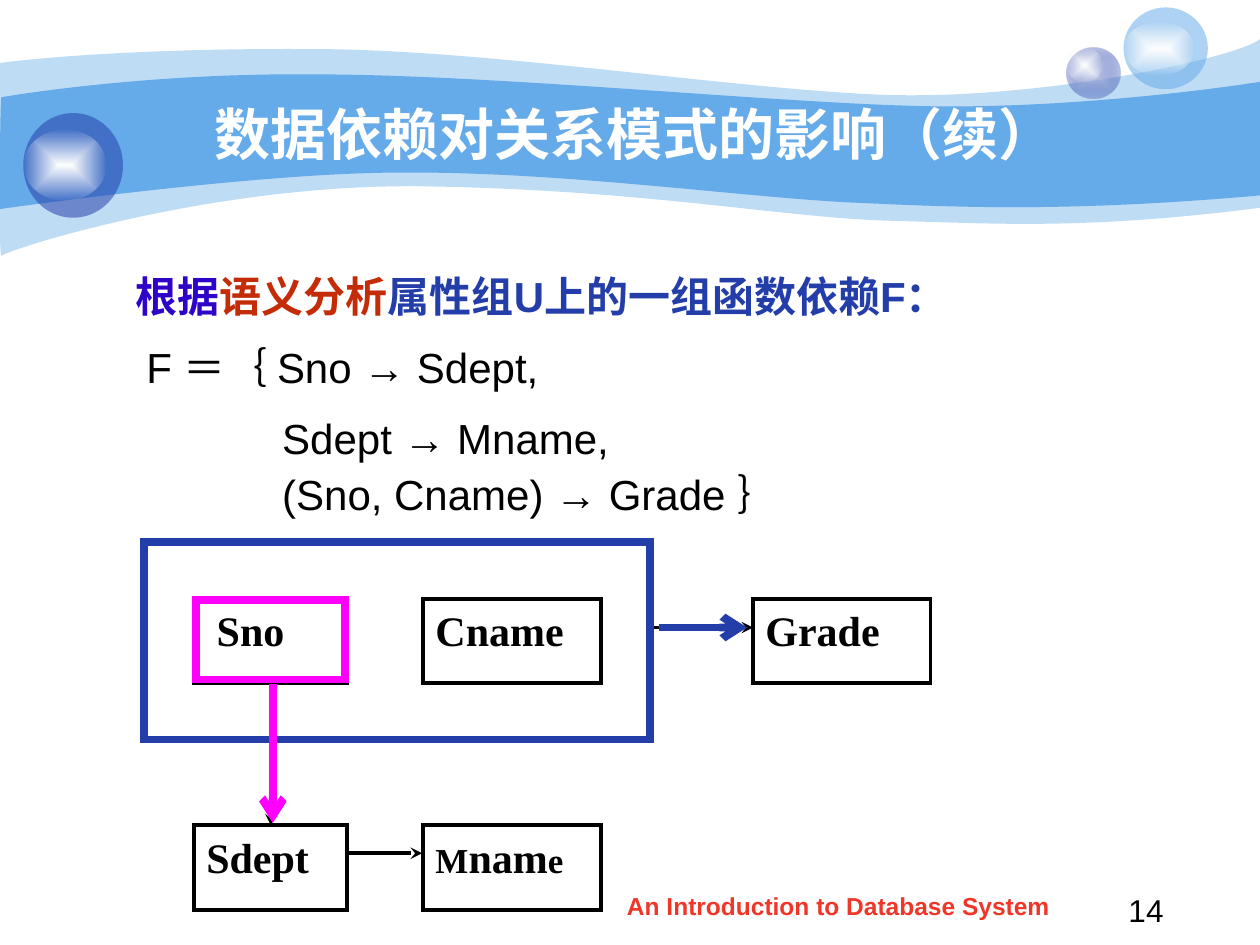
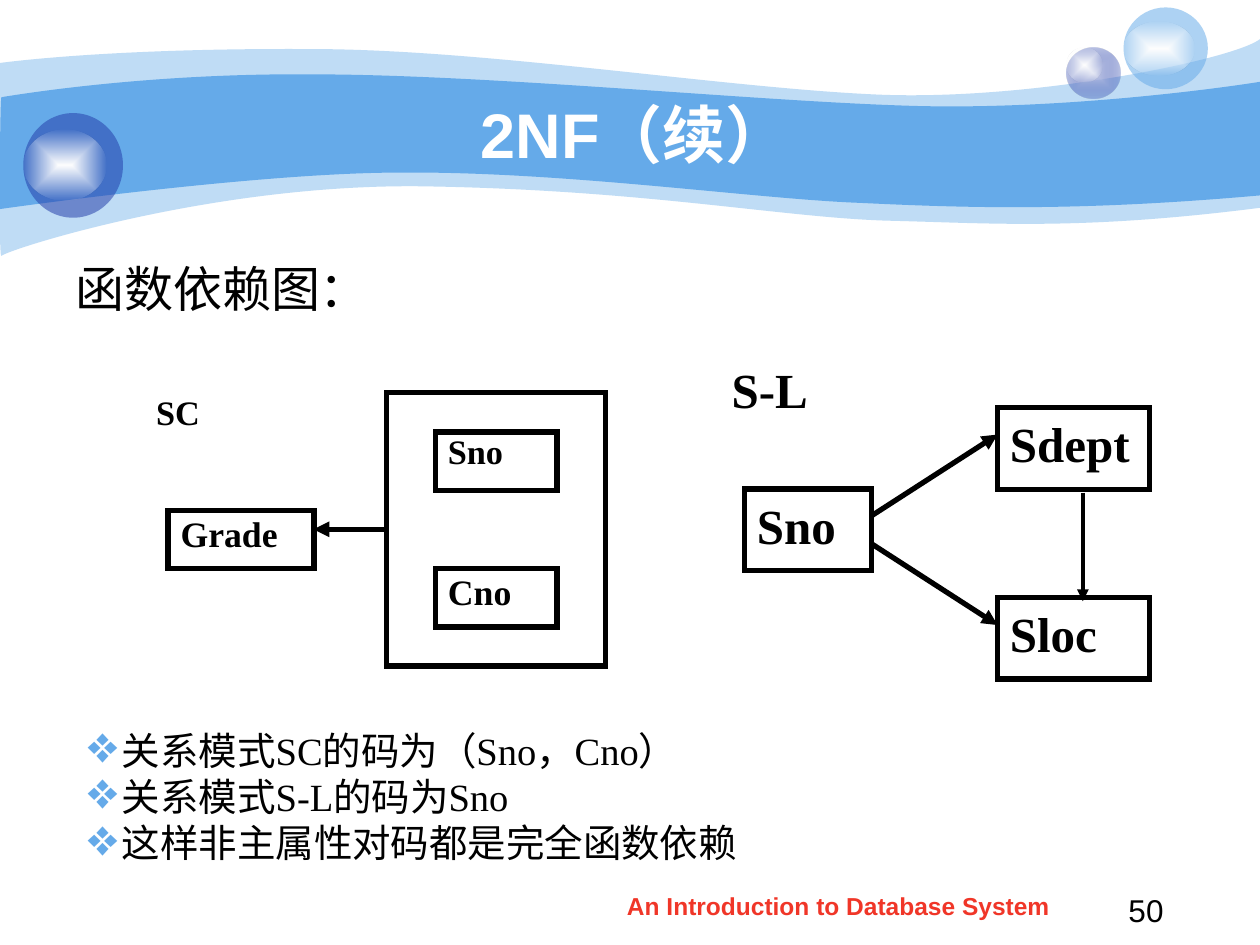
from dataclasses import dataclass
from typing import NamedTuple, Optional

import lxml.etree
import pptx
import pptx.dml.color
import pptx.enum.shapes
import pptx.enum.text
import pptx.oxml.ns
import pptx.util

Cm = pptx.util.Cm
Pt = pptx.util.Pt
qn = pptx.oxml.ns.qn
SHAPE = pptx.enum.shapes.MSO_SHAPE
ALIGN = pptx.enum.text.PP_ALIGN
ANCHOR = pptx.enum.text.MSO_ANCHOR

COLORS = {
    "black": "000000", "white": "FFFFFF", "sky": "65AAE9", "navy": "233DA9",
    "mist": "C7CEE9", "footer": "F03628", "violet": "2E04C8",
    "rust": "C42C08", "magenta": "FF00FF",
}
SANS, SERIF = "Arial", "Times New Roman"
FOOTER = "An Introduction to Database System"
BULLET_INDENT = 0.69


class Area(NamedTuple):
    """Left, top, width and height in centimetres."""
    left: float
    top: float
    width: float
    height: float

    def lengths(self) -> list:
        return [Cm(value) for value in self]


class Run(NamedTuple):
    text: str
    color: Optional[str] = None
    size: Optional[float] = None


@dataclass
class Line:
    runs: tuple
    indent: float = 0
    before: float = 0
    spacing: Optional[float] = None
    bullet: Optional[str] = None


@dataclass
class Node:
    area: Area
    lines: tuple = ()
    size: float = 24
    spacing: Optional[float] = None
    color: str = "black"
    outline: float = 2.25


@dataclass
class Link:
    start: tuple
    end: tuple
    head: str = "stealth"
    color: str = "black"
    width: float = 2.25


@dataclass
class Band:
    """Start point, then segments: one point for a line, three for a curve."""
    start: tuple
    segments: tuple
    opacity: Optional[int] = None


@dataclass
class Sphere:
    body: Area
    glint: Area
    color: str
    opacity: int
    center: Optional[str] = None


BANDS = [
    Band((0, 1.27), (
        ((0.61, 1.19), (2.72, 0.97), (6.27, 0.99)),
        ((9.8, 0.99), (14.61, 1.78), (17.75, 1.91)),
        ((20.88, 2.03), (24.89, 1.19), (25.4, 0.79)),
        ((25.4, 4.19),),
        ((21.79, 4.65), (19.99, 4.5), (17.91, 4.45)),
        ((15.8, 4.39), (13.08, 3.84), (8.71, 3.76)),
        ((4.37, 3.66), (0.1, 5.05), (0.03, 5.16)),
        ((-0.03, 5.28), (0, 1.91), (0, 1.27)),
    ), 41),
    Band((0.03, 1.96), (
        ((0.05, 1.96), (2.79, 1.47), (6.3, 1.5)),
        ((9.8, 1.5), (15.11, 2.03), (18.24, 2.13)),
        ((21.36, 2.24), (24.79, 1.75), (25.4, 1.65)),
        ((25.4, 3.94),),
        ((21.67, 4.27), (19.43, 4.19), (17.32, 4.09)),
        ((15.21, 4.01), (11.35, 3.45), (8.05, 3.48)),
        ((5.16, 3.48), (-0.05, 4.22), (-0.03, 4.22)),
        ((0, 4.22), (0, 1.96), (0.03, 1.96)),
    )),
]
SPHERES = [
    Sphere(Area(21.51, 0.97, 1.07, 1.02), Area(21.51, 0.97, 0.71, 0.69), "navy", 31, "mist"),
    Sphere(Area(22.65, 0.15, 1.7, 1.65), Area(22.65, 0.43, 1.42, 1.09), "sky", 53),
    Sphere(Area(0.47, 2.28, 2.01, 2.11), Area(0.47, 2.62, 1.68, 1.42), "navy", 53),
]


def rgb(name: str) -> pptx.dml.color.RGBColor:
    return pptx.dml.color.RGBColor.from_string(COLORS[name])


def add_bullet(properties, char: str) -> None:
    bullet_color = lxml.etree.SubElement(properties, qn("a:buClr"))
    lxml.etree.SubElement(bullet_color, qn("a:srgbClr"), val=COLORS["sky"])
    lxml.etree.SubElement(properties, qn("a:buSzPct"), val="135000")
    lxml.etree.SubElement(properties, qn("a:buChar"), char=char)


def write(frame, lines, *, size=24, font=SANS, color="black", bold=False,
          align=ALIGN.LEFT, anchor=ANCHOR.TOP, spacing=None) -> None:
    """Fill a text frame; each line is a string or a Line."""
    frame.word_wrap = True
    frame.vertical_anchor = anchor
    for number, item in enumerate(lines):
        line = item if isinstance(item, Line) else Line((Run(item),))
        paragraph = frame.add_paragraph() if number else frame.paragraphs[0]
        properties = paragraph._p.get_or_add_pPr()
        properties.set("marL", str(Cm(line.indent)))
        properties.set("indent", str(-Cm(line.indent) if line.bullet else 0))
        if line.bullet:
            add_bullet(properties, line.bullet)
        paragraph.alignment = align
        paragraph.space_before = Pt(line.before)
        paragraph.line_spacing = line.spacing or spacing
        for part in line.runs:
            run = paragraph.add_run()
            run.text = part.text
            run.font.name = font
            run.font.size = Pt(part.size or size)
            run.font.bold = bold
            run.font.color.rgb = rgb(part.color or color)


def add_text(slide, area: Area, lines, **text_format):
    frame = slide.shapes.add_textbox(*area.lengths()).text_frame
    write(frame, lines, **text_format)
    return frame


def set_opacity(fill_element, percent: int) -> None:
    color = fill_element.find(qn("a:srgbClr"))
    lxml.etree.SubElement(color, qn("a:alpha"), val=str(percent * 1000))


def fill_plain(shape, color: str, opacity: Optional[int] = None) -> None:
    shape.shadow.inherit = False
    shape.line.fill.background()
    shape.fill.solid()
    shape.fill.fore_color.rgb = rgb(color)
    if opacity is not None:
        set_opacity(shape._element.spPr.find(qn("a:solidFill")), opacity)


def fill_glow(shape, center: str, edge: str, edge_opacity: int) -> None:
    """Rectangular gradient from an opaque centre to a translucent edge."""
    shape.shadow.inherit = False
    shape.line.fill.background()
    shape.fill.gradient()
    for stop, color in zip(shape.fill.gradient_stops, (center, edge)):
        stop.color.rgb = rgb(color)
    gradient = shape._element.spPr.find(qn("a:gradFill"))
    set_opacity(gradient.findall(".//" + qn("a:gs"))[-1], edge_opacity)
    gradient.remove(gradient.find(qn("a:lin")))
    focus = lxml.etree.SubElement(gradient, qn("a:path"), path="rect")
    lxml.etree.SubElement(focus, qn("a:fillToRect"),
                          dict.fromkeys("ltrb", "50000"))


def draw_band(slide, band: Band) -> None:
    builder = slide.shapes.build_freeform(Cm(band.start[0]), Cm(band.start[1]))
    builder.add_line_segments(
        [(Cm(x), Cm(y)) for segment in band.segments for x, y in segment], close=True)
    wave = builder.convert_to_shape()
    # Each three-point segment becomes one cubic curve.
    strokes = iter(wave._element.findall(".//" + qn("a:lnTo")))
    for segment in band.segments:
        stroke = next(strokes)
        if len(segment) == 3:
            stroke.tag = qn("a:cubicBezTo")
            for _ in range(2):
                extra = next(strokes)
                stroke.append(extra[0])
                extra.getparent().remove(extra)
    fill_plain(wave, "sky", band.opacity)


def draw_sphere(slide, sphere: Sphere) -> None:
    body = slide.shapes.add_shape(SHAPE.OVAL, *sphere.body.lengths())
    if sphere.center:
        fill_glow(body, sphere.center, sphere.color, sphere.opacity)
    else:
        fill_plain(body, sphere.color, sphere.opacity)
    glint = slide.shapes.add_shape(SHAPE.OVAL, *sphere.glint.lengths())
    fill_glow(glint, "white", "white", 0)


def draw_node(slide, node: Node) -> None:
    box = slide.shapes.add_shape(SHAPE.RECTANGLE, *node.area.lengths())
    box.shadow.inherit = False
    box.fill.background()
    box.line.color.rgb = rgb(node.color)
    box.line.width = Pt(node.outline)
    lxml.etree.SubElement(box.line._get_or_add_ln(), qn("a:miter"), lim="800000")
    write(box.text_frame, node.lines, size=node.size, font=SERIF, bold=True,
          spacing=node.spacing)


def draw_link(slide, link: Link) -> None:
    arrow = slide.shapes.add_connector(
        pptx.enum.shapes.MSO_CONNECTOR.STRAIGHT,
        *[Cm(value) for value in (*link.start, *link.end)])
    arrow.line.color.rgb = rgb(link.color)
    arrow.line.width = Pt(link.width)
    lxml.etree.SubElement(arrow.line._get_or_add_ln(), qn("a:tailEnd"), type=link.head)
    lxml.etree.SubElement(arrow._element.spPr, qn("a:effectLst"))


def draw_diagram(slide, nodes: list, links: list) -> None:
    for node in nodes:
        draw_node(slide, node)
    for link in links:
        draw_link(slide, link)


def start_slide(deck, title: str, title_size: float, page: str):
    """Add a slide with the wave backdrop, footer, page number and title."""
    slide = deck.slides.add_slide(deck.slide_layouts[5])
    for band in BANDS:
        draw_band(slide, band)
    for sphere in SPHERES:
        draw_sphere(slide, sphere)
    add_text(slide, Area(22.5, 17.93, 2.01, 0.94), [page], size=18, spacing=0.9)
    add_text(slide, Area(11.9, 17.83, 10.01, 0.89), [FOOTER], size=14,
             color="footer", bold=True, align=ALIGN.CENTER)
    heading = slide.shapes.title
    slide.shapes._spTree.append(heading._element)
    heading.left, heading.top, heading.width, heading.height = Area(
        2.54, 1.9, 20.52, 1.57).lengths()
    write(heading.text_frame, [title], size=title_size, color="white", bold=True,
          align=ALIGN.CENTER, anchor=ANCHOR.MIDDLE)
    return slide


def build_dependency_slide(deck) -> None:
    slide = start_slide(deck, "数据依赖对关系模式的影响（续）", 32, "14")
    frame = add_text(slide, Area(1.91, 5.33, 21.59, 11.43), [
        Line((Run("根据", "violet"), Run("语义分析", "rust"),
              Run("属性组U上的一组函数依赖F：", "navy"))),
        Line((Run("F ＝｛ Sno → Sdept,"),), 0.21, 6, 1.2),
        Line((Run("Sdept → Mname,"),), 2.95, 6, 1.2),
        Line((Run("(Sno, Cname) → Grade ｝"),), 2.95, 3)])
    frame.margin_left = Cm(0.83)
    for run in frame.paragraphs[0].runs:
        run.font.bold = True

    upper, lower, height = 12.07, 16.64, 1.7
    draw_diagram(slide, [
        Node(Area(2.9, 10.92, 10.24, 3.99)),
        Node(Area(3.91, upper, 3.09, height), (Line((Run("Sno"),), 0.21),)),
        Node(Area(8.53, upper, 3.58, height), ("Cname",)),
        Node(Area(3.91, lower, 3.09, height), ("Sdept",)),
        Node(Area(8.53, lower, 3.58, height),
             (Line((Run("M", size=20), Run("nam"), Run("e", size=20))),)),
        Node(Area(15.18, upper, 3.58, height), ("Grade",)),
    ], [
        Link((5.46, 13.77), (5.46, 16.64)),
        Link((6.99, 17.2), (8.51, 17.2)),
        Link((13.13, 12.65), (15.18, 12.65)),
    ])
    draw_diagram(slide, [
        Node(Area(2.9, 10.92, 10.21, 3.99), color="navy", outline=4.5),
        Node(Area(3.96, 12.09, 3, 1.61), color="magenta", outline=4.5),
    ], [
        Link((13.28, 12.65), (15.06, 12.65), "arrow", "navy", 4.5),
        Link((5.5, 13.79), (5.5, 16.59), "arrow", "magenta", 4.5),
    ])


def build_second_form_slide(deck) -> None:
    slide = start_slide(deck, "2NF（续）", 36, "50")
    add_text(slide, Area(1.27, 5.08, 22.86, 12.5), ["函数依赖图："], size=28)

    draw_diagram(slide, [
        Node(Area(7.79, 7.92, 4.42, 5.51), outline=3),
        Node(Area(8.78, 8.71, 2.45, 1.18), ("Sno",), 19.6, 0.8, outline=3),
        Node(Area(8.78, 11.46, 2.45, 1.18), ("Cno",), 20.4, 0.9, outline=3),
        Node(Area(3.39, 10.29, 2.94, 1.17), ("Grade",), 20.4, 0.9, outline=3),
    ], [Link((7.79, 10.67), (6.32, 10.67), "triangle", width=3)])
    add_text(slide, Area(2.9, 7.92, 2.46, 1.17), ["SC"], size=19.6, font=SERIF,
             bold=True, spacing=0.8)

    add_text(slide, Area(14.5, 7.13, 3.07, 1.65), ["S-L"], size=28, font=SERIF, bold=True)
    draw_diagram(slide, [
        Node(Area(15.01, 9.86, 2.56, 1.65), ("Sno",), 28, outline=3),
        Node(Area(20.11, 8.22, 3.07, 1.65), ("Sdept",), 28, outline=3),
        Node(Area(20.11, 12.04, 3.07, 1.65), ("Sloc",), 28, outline=3),
    ], [
        Link((17.55, 10.41), (20.11, 8.76), "triangle", width=3),
        Link((17.55, 10.95), (20.11, 12.6), "triangle", width=3),
        Link((21.83, 9.93), (21.83, 12.12), "triangle"),
    ])

    conclusions = ("关系模式SC的码为（Sno，Cno）", "关系模式S-L的码为Sno",
                   "这样非主属性对码都是完全函数依赖")
    add_text(slide, Area(1.52, 14.53, 13.74, 3.05),
             [Line((Run(text),), BULLET_INDENT, bullet="❖") for text in conclusions],
             size=22, font=SERIF, anchor=ANCHOR.MIDDLE)


def main() -> None:
    deck = pptx.Presentation()
    deck.slide_width, deck.slide_height = Cm(25.4), Cm(19.05)
    build_dependency_slide(deck)
    build_second_form_slide(deck)
    deck.save("out.pptx")


if __name__ == "__main__":
    main()
